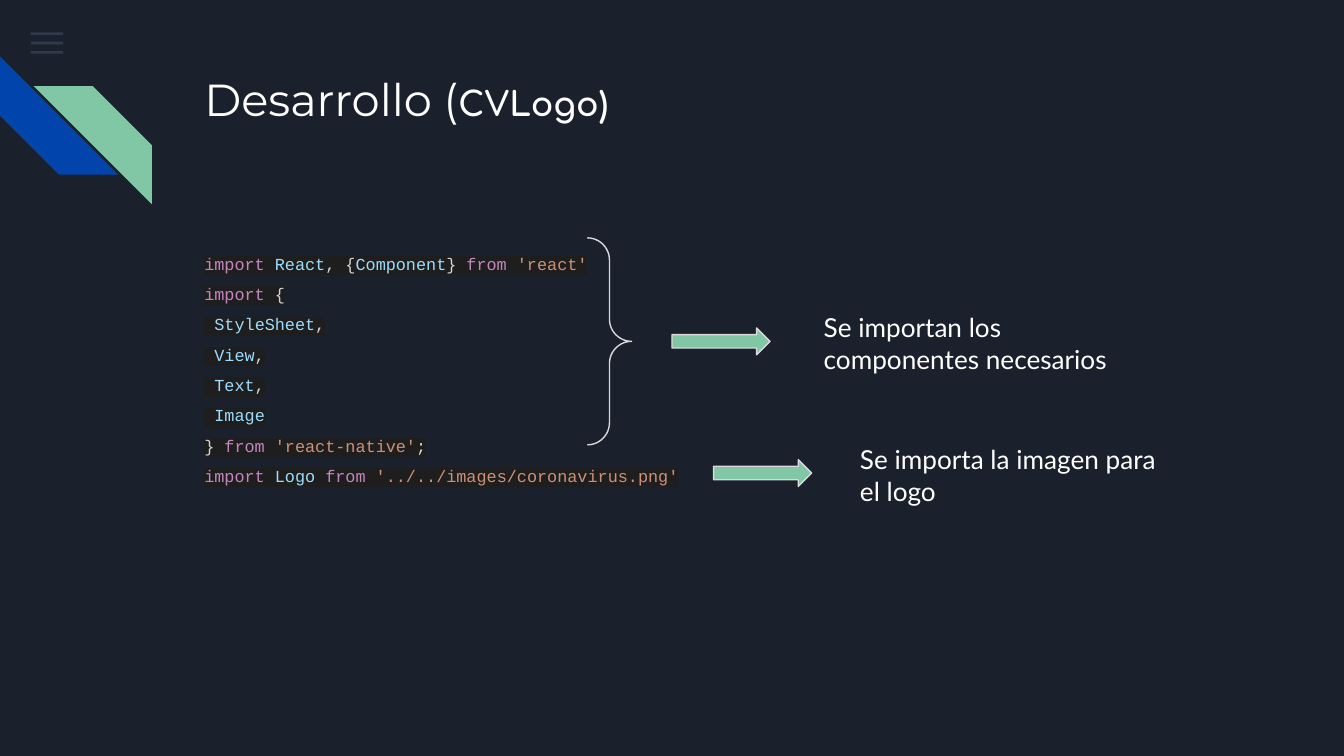
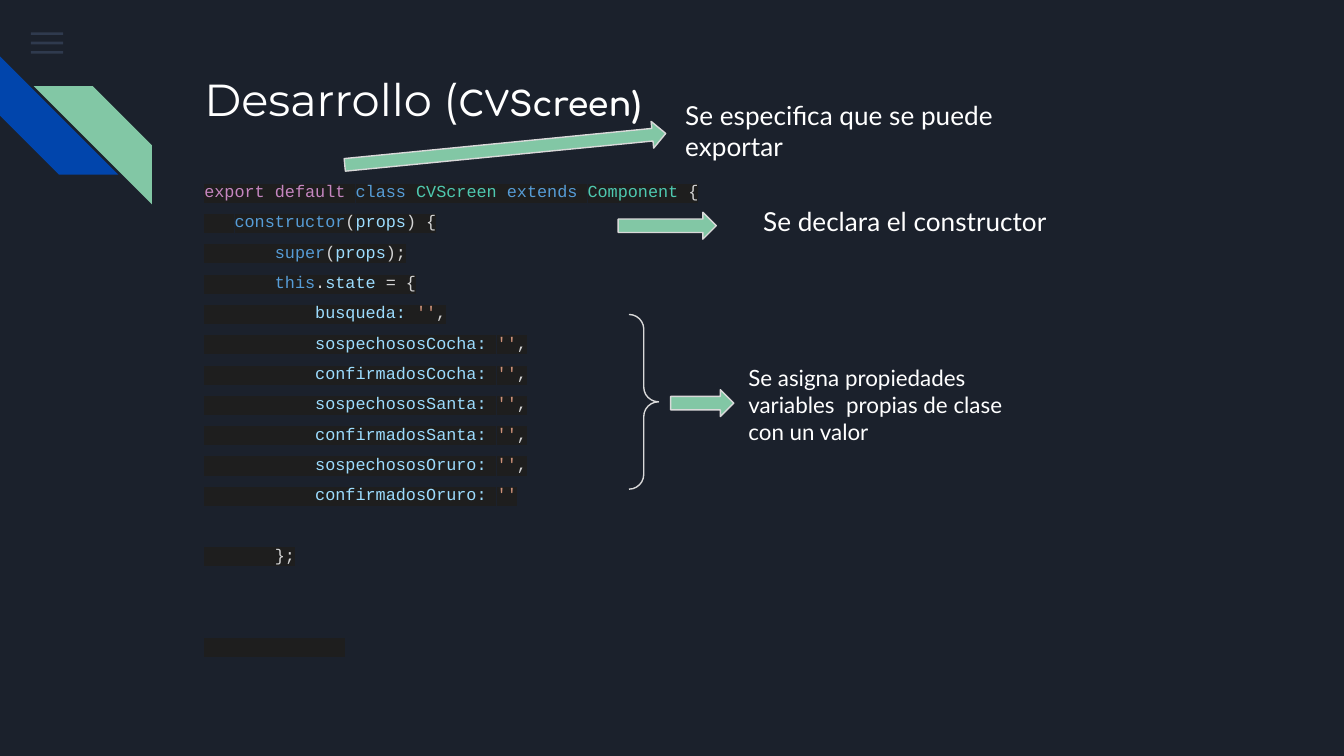
"""Two dark slides that explain the code of CVLogo and CVScreen."""
from lxml import etree
from pptx import Presentation
from pptx import util as u
from pptx.dml.color import RGBColor
from pptx.enum import shapes, text
from pptx.oxml.ns import qn

COLORS = {
    "night": "1B212C", "menu": "55688B", "blue": "0145AC", "mint": "82C7A5",
    "outline": "D9D9D9", "white": "FFFFFF", "code_band": "1E1E1E",
    "keyword": "C586C0", "plain": "D4D4D4", "name": "9CDCFE",
    "string": "CE9178", "reserved": "569CD6", "type": "4EC9B0",
}
CODE_LINE = 16.2


def write(paragraph, words, font="Lato", size=14, color="white", bold=False, highlight=None):
    run = paragraph.add_run()
    run.text = words
    run.font.name = font
    run.font.size = u.Pt(size)
    run.font.bold = bold
    run.font.color.rgb = RGBColor.from_string(COLORS[color])
    if highlight:
        band = etree.Element(qn("a:highlight"))
        etree.SubElement(band, qn("a:srgbClr")).set("val", COLORS[highlight])
        run.font.fill._xPr.find(qn("a:solidFill")).addnext(band)


def draw(slide, kind, box, fill=None, line=None, adjust=(), rotation=0):
    shape = slide.shapes.add_shape(kind, *map(u.Inches, box))
    shape.shadow.inherit = False
    shape.rotation = rotation
    for index, value in enumerate(adjust):
        shape.adjustments[index] = value
    if fill:
        shape.fill.solid()
        shape.fill.fore_color.rgb = RGBColor.from_string(COLORS[fill])
    else:
        shape.fill.background()
    if line:
        shape.line.color.rgb = RGBColor.from_string(COLORS[line])
        shape.line.width = u.Pt(0.75)
    else:
        shape.line.fill.background()
    return shape


logo_code = [
    [("import", "keyword"), (" ", "plain"), ("React", "name"), (", {", "plain"),
     ("Component", "name"), ("} ", "plain"), ("from", "keyword"), (" ", "plain"),
     ("'react'", "string")],
    [("import", "keyword"), (" {", "plain")],
    *[[(" ", "plain"), (part, "name"), (",", "plain")] for part in ("StyleSheet", "View", "Text")],
    [(" ", "plain"), ("Image", "name")],
    [("} ", "plain"), ("from", "keyword"), (" ", "plain"), ("'react-native'", "string"),
     (";", "plain")],
    [("import", "keyword"), (" ", "plain"), ("Logo", "name"), (" ", "plain"),
     ("from", "keyword"), (" ", "plain"), ("'../../images/coronavirus.png'", "string")],
]

state_names = ["busqueda"] + [
    group + city for city in ("Cocha", "Santa", "Oruro") for group in ("sospechosos", "confirmados")
]
state_code = [
    [("           ", "plain"), (name + ":", "name"), (" ", "plain"), ("''", "string"), (",", "plain")]
    for name in state_names
]
state_code[-1].pop()
screen_code = [
    [("export", "keyword"), (" ", "plain"), ("default", "keyword"), (" ", "plain"),
     ("class", "reserved"), (" ", "plain"), ("CVScreen", "type"), (" ", "plain"),
     ("extends", "reserved"), (" ", "plain"), ("Component", "type"), (" {", "plain")],
    [("   ", "plain"), ("constructor", "reserved"), ("(", "plain"), ("props", "name"),
     (") {", "plain")],
    [("       ", "plain"), ("super", "reserved"), ("(", "plain"), ("props", "name"),
     (");", "plain")],
    [("       ", "plain"), ("this", "reserved"), (".", "plain"), ("state", "name"),
     (" = {", "plain")],
    *state_code,
    [("       };", "plain")],
    [("              ", "plain")],
]

topics = [
    {
        "name": "CVLogo)", "code": logo_code, "code_box": (1.42, 1.71, 4.16, 3.18), "gaps": {},
        "arrows": [((5.31, 3.42, 0.73, 0.2), 0.5, 0), ((5, 2.44, 0.73, 0.2), 0.5, 0)],
        "brace": (4.37, 1.77, 0.33, 1.54),
        "remarks": [
            ("Se importan los componentes necesarios", (6.03, 2.22, 2.59, 0.65), 14),
            ("Se importa la imagen para el logo", (6.3, 3.2, 2.59, 0.65), 14),
        ],
    },
    {
        "name": "CVScreen)", "code": screen_code, "code_box": (1.42, 1.17, 3.92, 4.2),
        "gaps": {11: 1, 12: 2},
        "arrows": [((4.6, 1.58, 0.73, 0.2), 0.5, 0), ((4.99, 2.9, 0.47, 0.2), 0.5, 0),
                   ((2.56, 1.01, 2.4, 0.2), 0.47, 354.4)],
        "brace": (4.68, 2.34, 0.22, 1.3),
        "remarks": [
            ("Se declara el constructor", (5.58, 1.43, 2.59, 0.65), 14),
            ("Se asigna propiedades variables  propias de clase con un valor",
             (5.47, 2.61, 2.3, 0.77), 12),
            ("Se especifica que se puede exportar", (5, 0.64, 2.59, 0.65), 14),
        ],
    },
]

prs = Presentation()
prs.slide_width = u.Inches(10)
prs.slide_height = prs.slide_width * 9 // 16
prs.slide_master.background.fill.solid()
prs.slide_master.background.fill.fore_color.rgb = RGBColor.from_string(COLORS["night"])
layout = prs.slide_layouts[1]
for spare in list(layout.placeholders)[2:]:
    spare.element.getparent().remove(spare.element)

for number, topic in enumerate(topics):
    slide = prs.slides.add_slide(layout)

    if number == 0:
        decor = []
        for row in range(3):
            bar = draw(slide, shapes.MSO_SHAPE.RECTANGLE, (0.23, 0.24 + 0.07 * row, 0.24, 0.02), "menu")
            tint = bar.element.spPr.find(".//" + qn("a:srgbClr"))
            etree.SubElement(tint, qn("a:alpha")).set("val", "36000")
            decor.append(bar)
        stripe = shapes.MSO_SHAPE.DIAGONAL_STRIPE
        decor.append(draw(slide, stripe, (0, 0.42, 0.88, 0.88), "blue", adjust=[0.5], rotation=270))
        decor.append(draw(slide, stripe, (0.25, 0.64, 0.88, 0.88), "mint", adjust=[0.5]))
        decor[-1].element.spPr.find(qn("a:xfrm")).set("flipH", "1")
        for place, piece in enumerate(decor):
            layout.shapes.element.insert(2 + place, piece.element)

    heading, code = slide.placeholders
    remarks = [slide.shapes.add_textbox(*map(u.Inches, box)) for _, box, _ in topic["remarks"]]
    for holder, box in ((heading, (1.42, 0.43, 7.7, 1)), (code, topic["code_box"])):
        holder.left, holder.top, holder.width, holder.height = map(u.Inches, box)
    for holder in (heading, code, *remarks):
        frame = holder.text_frame
        frame.word_wrap = True
        frame.auto_size = text.MSO_AUTO_SIZE.NONE
        frame.vertical_anchor = text.MSO_ANCHOR.TOP
        frame.margin_left = frame.margin_right = u.Inches(0.1)
        frame.margin_top = frame.margin_bottom = u.Inches(0.1)
        frame.paragraphs[0].alignment = text.PP_ALIGN.LEFT

    title_line = heading.text_frame.paragraphs[0]
    write(title_line, "Desarrollo (", font="Montserrat", size=24)
    write(title_line, topic["name"], font="Comfortaa", size=18, bold=True)

    for index, tokens in enumerate(topic["code"]):
        frame = code.text_frame
        code_line = frame.add_paragraph() if index else frame.paragraphs[0]
        properties = code_line._p.get_or_add_pPr()
        properties.set("marL", "0")
        properties.set("indent", "0")
        etree.SubElement(properties, qn("a:buNone"))
        code_line.line_spacing = 1.5
        code_line.space_before = u.Pt(CODE_LINE * topic["gaps"].get(index, 0))
        for words, role in tokens:
            write(code_line, words, font="Courier New", size=9, color=role, highlight="code_band")

    for box, shaft, rotation in topic["arrows"]:
        draw(slide, shapes.MSO_SHAPE.RIGHT_ARROW, box, "mint", "outline", (shaft, 0.5), rotation)
    draw(slide, shapes.MSO_SHAPE.RIGHT_BRACE, topic["brace"], line="outline", adjust=(0.5, 0.5))
    for remark, (words, _, size) in zip(remarks, topic["remarks"]):
        write(remark.text_frame.paragraphs[0], words, size=size)

prs.save("out.pptx")
